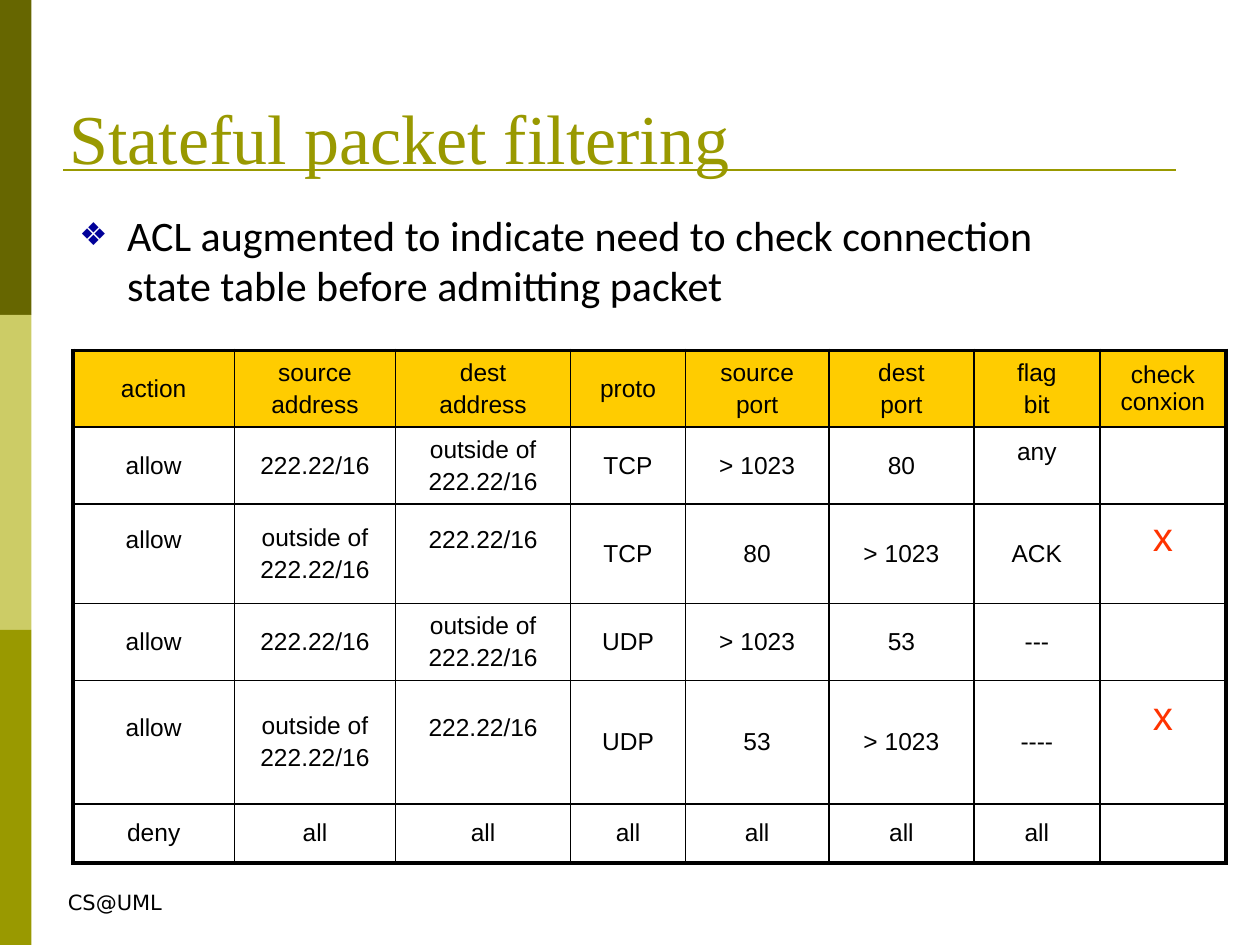
from lxml import etree
from pptx import Presentation
from pptx import util as u
from pptx.dml.color import RGBColor
from pptx.enum import shapes, text
from pptx.oxml.ns import qn

THEME = {
    "olive": "999900", "dark": "666600", "light": "CCCC66",
    "ink": "000000", "header": "FFCC00", "mark": "FF3300", "bullet": "000099",
    "title": 40, "body": 24, "cell": 14, "mark_size": 23, "footer": 12,
    "thin": 1, "thick": 2.25,
}


def set_font(target, name, size, color):
    format_values = {"name": name, "size": u.Pt(THEME[size])}
    for key, value in format_values.items():
        setattr(target.font, key, value)
    target.font.color.rgb = RGBColor.from_string(THEME[color])


def add_xml(parent, tag, **attributes):
    return etree.SubElement(parent, qn(tag), attributes)


deck = Presentation()
deck.slide_width, deck.slide_height = u.Inches(10), u.Inches(7.5)
page = deck.slides.add_slide(deck.slide_layouts[1])

# Side bands: three equal thirds of the slide's height
band_width, band_height = deck.slide_width // 40, deck.slide_height // 3
for index, color in enumerate(("dark", "light", "olive")):
    band = page.shapes.add_shape(shapes.MSO_SHAPE.RECTANGLE, 0, index * band_height,
                                 band_width, band_height)
    band.shadow.inherit = False
    band.fill.solid()
    band.fill.fore_color.rgb = RGBColor.from_string(THEME[color])
    band.line.fill.background()

# Rule under the title
rule = page.shapes.add_connector(shapes.MSO_CONNECTOR.STRAIGHT, u.Inches(0.5),
                                 u.Inches(1.35), u.Inches(9.33), u.Inches(1.35))
rule.line.color.rgb = RGBColor.from_string(THEME["olive"])
rule.line.width = u.Pt(1.5)
add_xml(rule._element.spPr, "a:effectLst")

# Title and body placeholders
title, body = page.shapes.title, page.placeholders[1]
for box, place, anchor in (
    (title, (0.45, 0.22, 8.5, 1.25), text.MSO_ANCHOR.BOTTOM),
    (body, (0.53, 1.61, 8.22, 5.02), text.MSO_ANCHOR.TOP),
):
    for side, length in zip(("left", "top", "width", "height"), place):
        setattr(box, side, u.Inches(length))
    box.text_frame.auto_size = text.MSO_AUTO_SIZE.NONE
    box.text_frame.vertical_anchor = anchor

title.text_frame.text = "Stateful packet filtering"
para = title.text_frame.paragraphs[0]
para.alignment = text.PP_ALIGN.LEFT
set_font(para.runs[0], "Times New Roman", "title", "olive")

body.text_frame.text = ("ACL augmented to indicate need to check connection "
                        "state table before admitting packet")
para = body.text_frame.paragraphs[0]
para.space_before = u.Pt(0)
properties = para._p.get_or_add_pPr()
properties.set("marL", str(u.Inches(0.38)))
properties.set("indent", str(-u.Inches(0.38)))
add_xml(add_xml(properties, "a:buClr"), "a:srgbClr", val=THEME["bullet"])
add_xml(properties, "a:buSzPct", val="75000")
add_xml(properties, "a:buChar", char="❖")
set_font(para.runs[0], "Calibri", "body", "ink")

# Access control list; a line break in a cell starts a new paragraph
outside = "outside of\n222.22/16"
rows = [
    ["action", "source\naddress", "dest\naddress", "proto", "source\nport",
     "dest\nport", "flag\nbit", "check conxion"],
    ["allow", "222.22/16", outside, "TCP", "> 1023", "80", "any", ""],
    ["allow", outside, "222.22/16", "TCP", "80", "> 1023", "ACK", "x"],
    ["allow", "222.22/16", outside, "UDP", "> 1023", "53", "---", ""],
    ["allow", outside, "222.22/16", "UDP", "53", "> 1023", "----", "x"],
    ["deny"] + ["all"] * 6 + [""],
]
column_widths = [1.28, 1.28, 1.39, 0.91, 1.14, 1.15, 1, 1]
row_heights = [0.61, 0.61, 0.79, 0.61, 0.98, 0.47]
# Larger bottom margins lift the text of these cells, keyed by row and column
lifted = {(1, 6): 0.27, (2, 0): 0.27, (2, 2): 0.27, (2, 7): 0.3,
          (4, 0): 0.27, (4, 2): 0.27, (4, 7): 0.46}

table = page.shapes.add_table(
    len(rows), len(column_widths), u.Inches(0.58), u.Inches(2.78),
    u.Inches(sum(column_widths)), u.Inches(sum(row_heights))).table
table.first_row = table.horz_banding = False
for column, width in zip(table.columns, column_widths):
    column.width = u.Inches(width)
for row, height in zip(table.rows, row_heights):
    row.height = u.Inches(height)

last_row, last_column = len(rows) - 1, len(column_widths) - 1
for r, words in enumerate(rows):
    for c, word in enumerate(words):
        cell = table.cell(r, c)
        cell.vertical_anchor = text.MSO_ANCHOR.MIDDLE
        cell.margin_bottom = u.Inches(lifted.get((r, c), 0.05))

        # Thick outer frame, thin inner lines
        outer_edges = {"a:lnL": c == 0, "a:lnR": c == last_column,
                       "a:lnT": r == 0, "a:lnB": r == last_row}
        for tag, outer in outer_edges.items():
            width = u.Pt(THEME["thick" if outer else "thin"])
            border = add_xml(cell._tc.get_or_add_tcPr(), tag, w=str(width))
            add_xml(add_xml(border, "a:solidFill"), "a:srgbClr", val=THEME["ink"])
        if r == 0:
            cell.fill.solid()
            cell.fill.fore_color.rgb = RGBColor.from_string(THEME["header"])
        else:
            cell.fill.background()

        cell.text_frame.text = word
        size, color = ("mark_size", "mark") if word == "x" else ("cell", "ink")
        for number, para in enumerate(cell.text_frame.paragraphs):
            para.alignment = text.PP_ALIGN.CENTER
            if number:
                para.space_before = u.Pt(2.5)
            for span in para.runs:
                set_font(span, "Arial", size, color)

# Footer
footer = page.shapes.add_textbox(u.Inches(0.44), u.Inches(7.01),
                                 u.Inches(0.95), u.Inches(0.3))
footer.text_frame.word_wrap = False
footer.text_frame.auto_size = text.MSO_AUTO_SIZE.SHAPE_TO_FIT_TEXT
footer.text_frame.text = "CS@UML"
set_font(footer.text_frame.paragraphs[0].runs[0], "DejaVu Sans", "footer", "ink")

deck.save("out.pptx")
